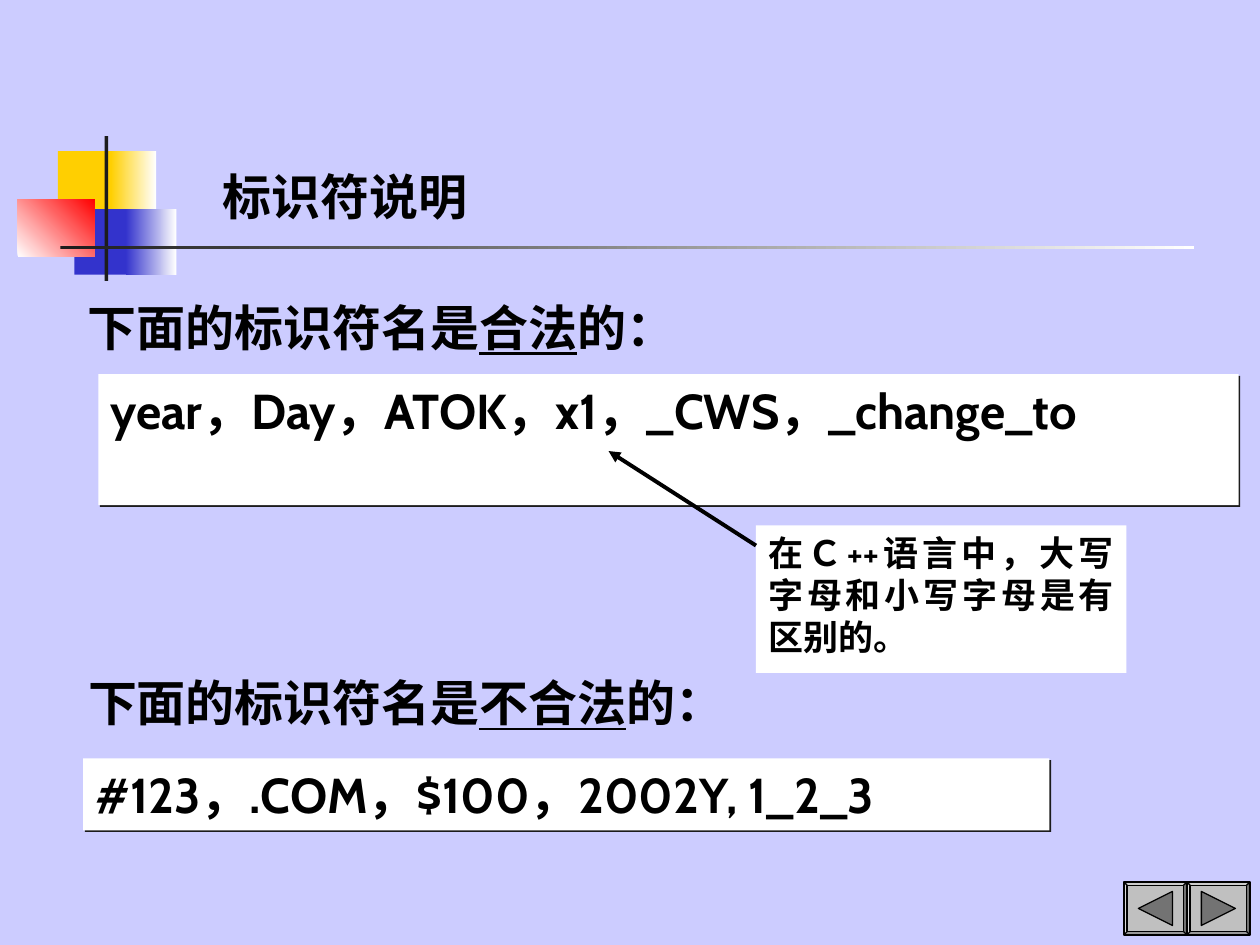
from lxml.etree import SubElement
from pptx import Presentation
from pptx.dml.color import RGBColor
from pptx.enum.shapes import MSO_CONNECTOR, MSO_SHAPE
from pptx.enum.text import MSO_ANCHOR, PP_ALIGN
from pptx.oxml.ns import qn
from pptx.util import Inches, Pt

BACKGROUND = RGBColor(0xCC, 0xCC, 0xFF)
YELLOW = RGBColor(0xFF, 0xCF, 0x01)
BLUE = RGBColor(0x33, 0x33, 0xCC)
RED = RGBColor(0xFF, 0x00, 0x00)
DARK = RGBColor(0x1C, 0x1C, 0x1C)
WHITE = RGBColor(0xFF, 0xFF, 0xFF)
BLACK = RGBColor(0x00, 0x00, 0x00)
SILVER = RGBColor(0xC0, 0xC0, 0xC0)
GRAY = RGBColor(0x73, 0x73, 0x73)
FONT = "Cabin"

# box, start colour, end colour (None for a plain fill), gradient angle
ORNAMENTS = [
    ((0.46, 1.2, 0.48, 0.52), YELLOW, None, 0),
    ((0.88, 1.2, 0.36, 0.52), YELLOW, WHITE, 0),
    ((0.59, 1.66, 0.46, 0.52), BLUE, None, 0),
    ((1, 1.66, 0.4, 0.52), BLUE, WHITE, 0),
    ((0.14, 1.58, 0.61, 0.46), WHITE, RED, 45),
    ((0.83, 1.08, 0.03, 1.15), DARK, None, 0),
    ((0.48, 1.95, 9, 0.03), DARK, WHITE, 0),
]
TITLE = ((1.67, 1.17, 2.25, 0.67), "标识符说明")
HEADINGS = [
    ((0.6, 2.31, 4.86, 0.57), ("下面的标识符名是", "合法", "的：")),
    ((0.6, 5.29, 5.25, 0.57), ("下面的标识符名是", "不合法", "的：")),
]
EXAMPLES = [
    ((0.78, 2.97, 9.05, 1.04), "year，Day，ATOK，x1，_CWS，_change_to"),
    ((0.66, 6.02, 7.67, 0.57), "#123，.COM，$100，2002Y, 1_2_3"),
]
NOTE = ((6, 4.17, 2.94, 1.17), "在Ｃ++语言中，大写字母和小写字母是有区别的。")
NOTE_ARROW = ((6, 4.33), (4.83, 3.58))
BUTTON_TOP, BUTTON_WIDTH, BUTTON_HEIGHT = 7, 0.5, 0.42
BUTTONS = [(8.92, -1), (9.42, 1)]  # left edge, pointing direction


def add_panel(slide, box, color, end_color=None, angle=0):
    panel = slide.shapes.add_shape(MSO_SHAPE.RECTANGLE, *map(Inches, box))
    panel.shadow.inherit = False
    panel.line.fill.background()
    if end_color is None:
        panel.fill.solid()
        panel.fill.fore_color.rgb = color
    else:
        panel.fill.gradient()
        panel.fill.gradient_angle = angle
        for stop, stop_color in zip(panel.fill.gradient_stops, (color, end_color)):
            stop.color.rgb = stop_color
    return panel


def write(shape, parts, size=28, align=PP_ALIGN.LEFT, anchor=MSO_ANCHOR.TOP, wrap=True):
    """Fill the shape with one paragraph; every second part is underlined."""
    frame = shape.text_frame
    frame.word_wrap = wrap
    frame.vertical_anchor = anchor
    paragraph = frame.paragraphs[0]
    paragraph.alignment = align
    font = paragraph.font
    font.name, font.size, font.bold = FONT, Pt(size), True
    font.color.rgb = BLACK
    for index, part in enumerate(parts):
        run = paragraph.add_run()
        run.text = part
        if index % 2:
            run.font.underline = True


def add_edge_shadow(shape):
    effects = shape._element.spPr.find(qn("a:effectLst"))
    shadow = SubElement(effects, qn("a:outerShdw"), blurRad="0", dist=str(Pt(1.4)),
                        dir="2700000", algn="ctr", rotWithShape="0")
    SubElement(shadow, qn("a:srgbClr"), val=str(DARK))


def add_arrow(slide, start, end):
    arrow = slide.shapes.add_connector(MSO_CONNECTOR.STRAIGHT, *map(Inches, start + end))
    arrow.line.color.rgb = BLACK
    arrow.line.width = Pt(2.25)
    SubElement(arrow.line._get_or_add_ln(), qn("a:tailEnd"), type="triangle")
    SubElement(arrow._element.spPr, qn("a:effectLst"))


def add_button(slide, left, direction):
    bevel = slide.shapes.add_shape(
        MSO_SHAPE.BEVEL,
        *map(Inches, (left, BUTTON_TOP, BUTTON_WIDTH, BUTTON_HEIGHT)))
    bevel.adjustments[0] = 0.06
    center_x = left + BUTTON_WIDTH / 2
    center_y = BUTTON_TOP + BUTTON_HEIGHT / 2
    reach = 0.135 * direction
    corners = [(center_x - reach, center_y - 0.135), (center_x + reach, center_y),
               (center_x - reach, center_y + 0.135)]
    points = [(Inches(x), Inches(y)) for x, y in corners]
    builder = slide.shapes.build_freeform(*points[0])
    builder.add_line_segments(points[1:], close=True)
    for part, color in ((bevel, SILVER), (builder.convert_to_shape(), GRAY)):
        part.shadow.inherit = False
        part.fill.solid()
        part.fill.fore_color.rgb = color
        part.line.color.rgb = BLACK
        part.line.width = Pt(0.75)


def main():
    deck = Presentation()
    deck.slide_width, deck.slide_height = Inches(10), Inches(7.5)
    slide = deck.slides.add_slide(deck.slide_layouts[6])
    slide.background.fill.solid()
    slide.background.fill.fore_color.rgb = BACKGROUND

    for ornament in ORNAMENTS:
        add_panel(slide, *ornament)

    note_box, note_text = NOTE
    write(add_panel(slide, note_box, WHITE), [note_text], size=20, align=PP_ALIGN.JUSTIFY)

    title_box, title_text = TITLE
    title = slide.shapes.add_textbox(*map(Inches, title_box))
    write(title, [title_text], anchor=MSO_ANCHOR.BOTTOM)

    for box, parts in HEADINGS:
        write(slide.shapes.add_textbox(*map(Inches, box)), parts, wrap=False)
    for box, names in EXAMPLES:
        panel = add_panel(slide, box, WHITE)
        add_edge_shadow(panel)
        write(panel, [names])

    for left, direction in BUTTONS:
        add_button(slide, left, direction)
    add_arrow(slide, *NOTE_ARROW)
    deck.save("out.pptx")


if __name__ == "__main__":
    main()
